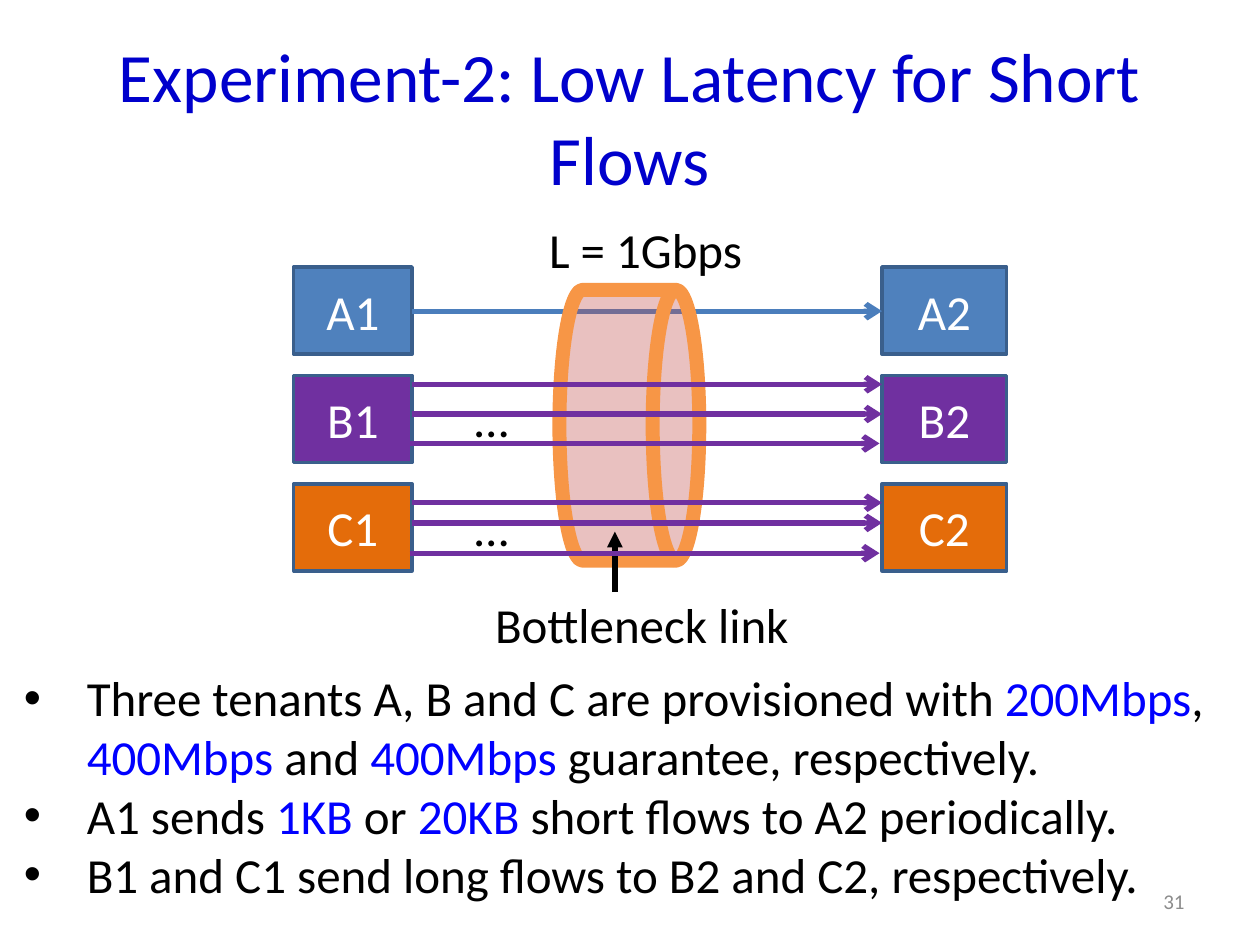
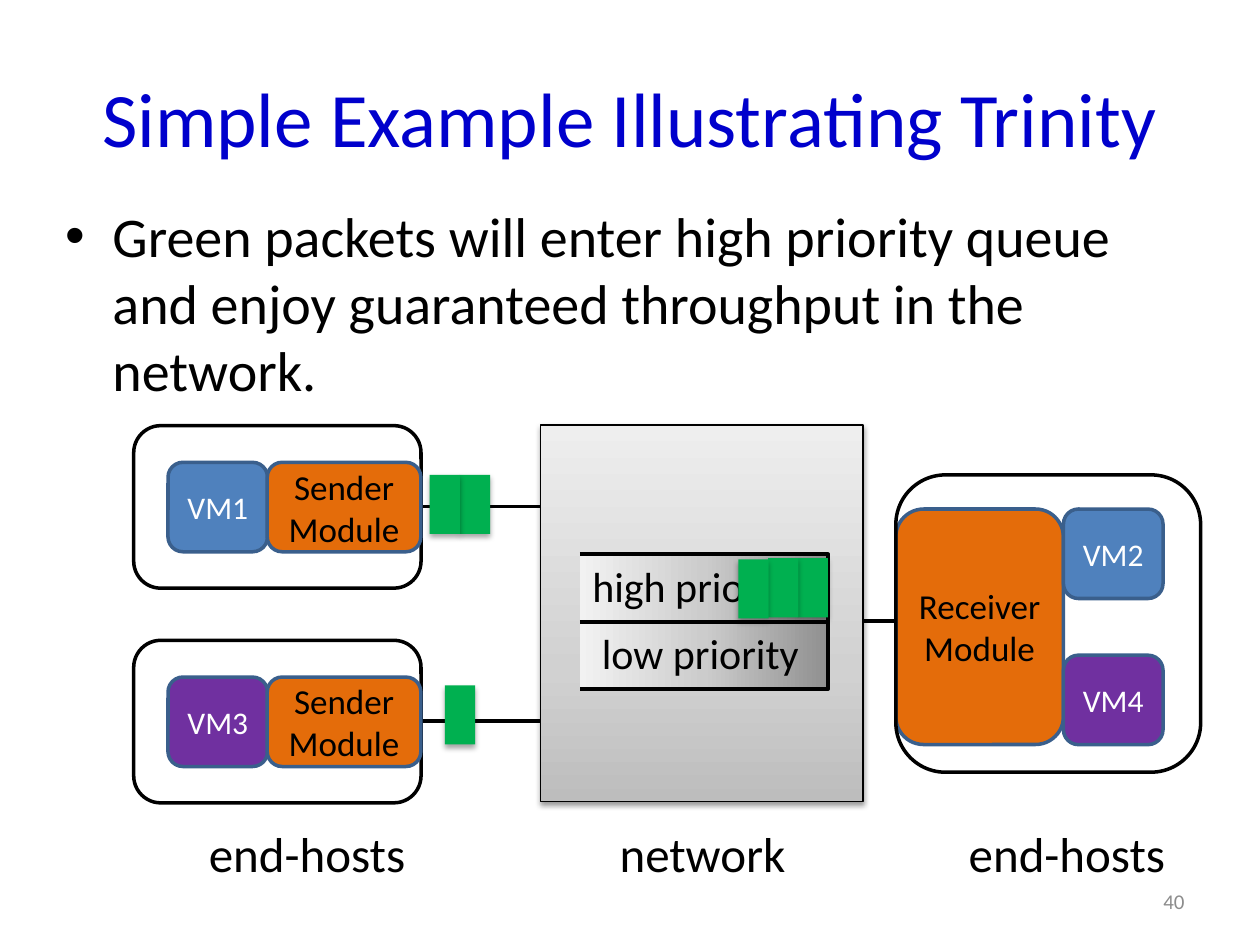
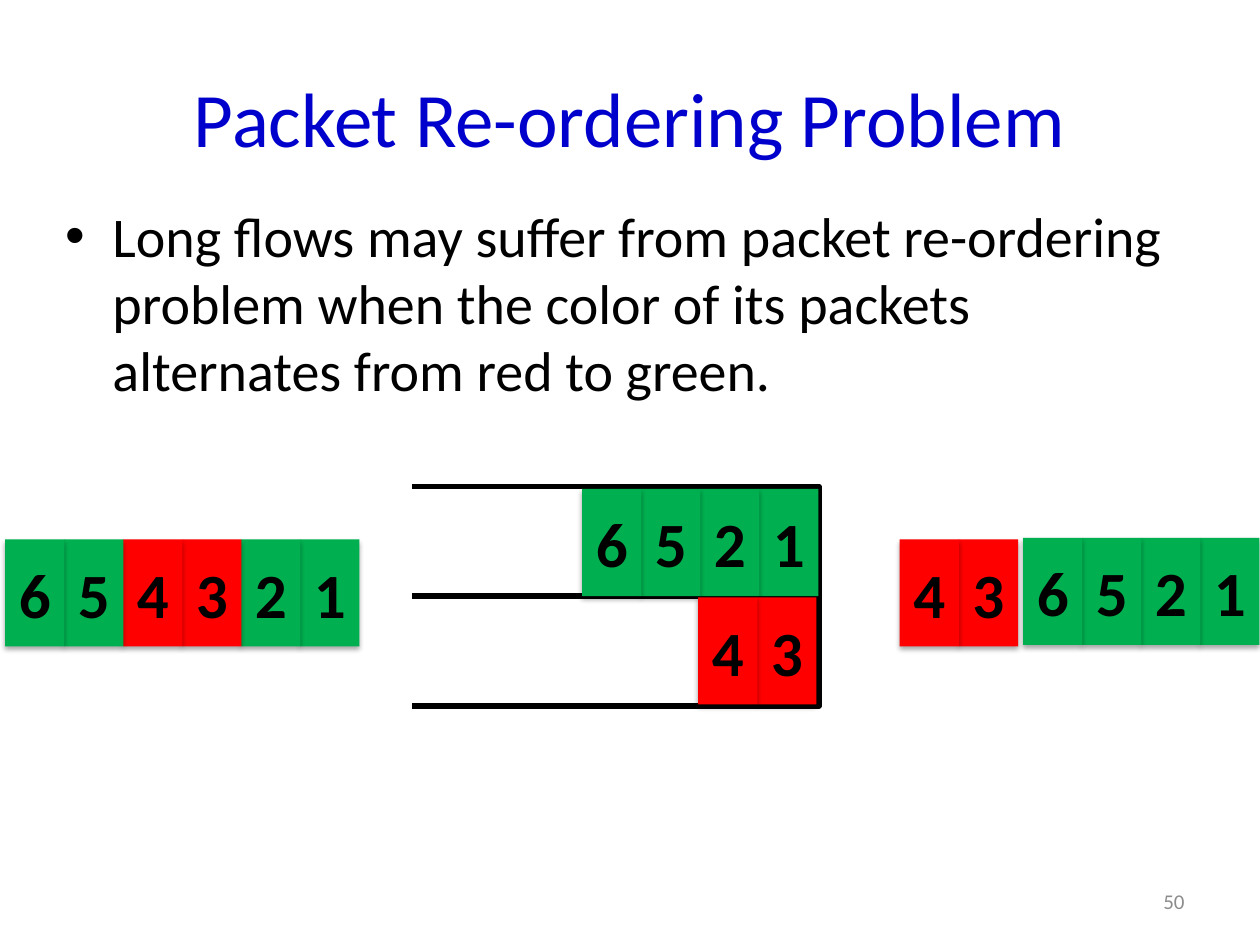
"""Three slides on tenant bandwidth guarantees, priority queues and packet order."""
from copy import deepcopy

from lxml.etree import SubElement
from pptx import Presentation
from pptx.dml.color import RGBColor
from pptx.enum.shapes import MSO_CONNECTOR, MSO_SHAPE
from pptx.enum.text import MSO_ANCHOR, PP_ALIGN
from pptx.oxml.ns import qn
from pptx.util import Pt

FONT = "Calibri"
BLACK, WHITE, GRAY = "000000", "FFFFFF", "8C8C8C"
TITLE_BLUE, KEY_BLUE = "0000CC", "0000FF"
BLUE, PURPLE, ORANGE, EDGE = "4F81BD", "7030A0", "E46C0A", "3A5F8C"
GREEN, RED = "00B050", "FF0000"
NETWORK_STOPS = [(0, "BDBDBD"), (0.35, "D1D1D1"), (1, "EEEEEE")]
QUEUE_STOPS = [(0, "909090"), (0.5, "CCCCCC"), (1, "F2F2F2")]

LATENCY_POINTS = [
    [("Three tenants A, B and C are provisioned with ", BLACK), ("200Mbps", KEY_BLUE),
     (", ", BLACK), ("400Mbps", KEY_BLUE), (" and ", BLACK), ("400Mbps ", KEY_BLUE),
     ("guarantee, respectively.", BLACK)],
    [("A1 sends ", BLACK), ("1KB", KEY_BLUE), (" or ", BLACK), ("20KB", KEY_BLUE),
     (" short flows to A2 periodically.", BLACK)],
    [("B1 and C1 send long flows to B2 and C2, respectively.", BLACK)],
]
TRINITY_POINT = ("Green packets will enter high priority queue and enjoy "
                 "guaranteed throughput in the network.")
REORDER_POINT = ("Long flows may suffer from packet re-ordering problem when the "
                 "color of its packets alternates from red to green.")

TENANT_A = ("A", 152.6, BLUE, "4B7EBC", [(0, 177.8)])
TENANT_B = ("B", 214.6, PURPLE, PURPLE, [(0, 219.6), (0, 236.6), (-1.4, 253.4)])
TENANT_C = ("C", 276.5, ORANGE, PURPLE, [(0, 287.3), (0, 298.8), (-1.4, 316.1)])

SENDERS = [("VM1", BLUE, 243.2), ("VM3", PURPLE, 365.9)]
RECEIVERS = [("VM2", BLUE, 290.9), ("VM4", PURPLE, 374.4)]
PLACES = [("end-hosts", 112.3, 128), ("network", 347, 110), ("end-hosts", 546.5, 128)]
QUEUES = [(" low priority", 355.2), ("high priority", 316.8)]
GREEN_PACKETS = [(262.8, 271.4), (245.5, 271.4), (254.2, 391.7),
                 (455.8, 319), (439, 319), (421.9, 319.7)]

PACKET_STRIPS = [("654321", 2.9, 308.2), ("6521", 332.6, 279.4), ("43", 398.9, 341.3),
                 ("43", 514.1, 308.2), ("6521", 584.6, 307.4)]
PACKET_PITCH, PACKET_WIDTH, PACKET_HEIGHT = 33.7, 34, 61.2


def rgb(color):
    return RGBColor.from_string(color)


def write(frame, paras, size, align=PP_ALIGN.LEFT, anchor=MSO_ANCHOR.TOP,
          wrap=True, bold=False, hang=0):
    frame.word_wrap = wrap
    frame.vertical_anchor = anchor
    for index, spans in enumerate(paras):
        para = frame.add_paragraph() if index else frame.paragraphs[0]
        para.alignment = align
        if hang:
            props = para._p.get_or_add_pPr()
            props.set("marL", str(Pt(hang)))
            props.set("indent", str(-Pt(hang)))
            SubElement(props, qn("a:buFont"), typeface="Arial")
            SubElement(props, qn("a:buChar"), char="•")
        for text, color in spans:
            span = para.add_run()
            span.text = text
            span.font.name = FONT
            span.font.size = Pt(size)
            span.font.bold = bold
            span.font.color.rgb = rgb(color)


def add_text(page, at, paras, size, **style):
    box = page.shapes.add_textbox(*map(Pt, at))
    write(box.text_frame, paras, size, **style)


def add_label(page, at, text):
    add_text(page, at, [[(text, BLACK)]], 28, wrap=False)


def paint(shape, fill=None, line=None, width=2.0):
    shape.shadow.inherit = False
    if fill:
        shape.fill.solid()
        shape.fill.fore_color.rgb = rgb(fill)
    else:
        shape.fill.background()
    if line:
        shape.line.color.rgb = rgb(line)
        shape.line.width = Pt(width)
    else:
        shape.line.fill.background()


def paint_gradient(shape, stops, angle):
    shape.fill.gradient()
    shape.fill.gradient_angle = angle
    stop_list = shape._element.spPr.find(".//" + qn("a:gsLst"))
    stop_list.append(deepcopy(stop_list[0]))
    for stop, (position, color) in zip(shape.fill.gradient_stops, stops):
        stop.position = position
        stop.color.rgb = rgb(color)


def add_shadow(shape, opacity, distance):
    effects = shape._element.spPr.find(qn("a:effectLst"))
    shadow = SubElement(effects, qn("a:outerShdw"), blurRad=str(Pt(3.1)),
                        dist=str(Pt(distance)), dir="5400000", rotWithShape="0")
    color = SubElement(shadow, qn("a:srgbClr"), val=BLACK)
    SubElement(color, qn("a:alpha"), val=str(opacity * 1000))


def add_block(page, kind, at, fill=None, line=None, width=2.0, text="", size=28,
              color=WHITE, bold=False):
    shape = page.shapes.add_shape(kind, *map(Pt, at))
    paint(shape, fill, line, width)
    if text:
        write(shape.text_frame, [[(text, color)]], size, PP_ALIGN.CENTER,
              MSO_ANCHOR.MIDDLE, bold=bold)
    return shape


def add_packet(page, at, fill, digit=""):
    packet = add_block(page, MSO_SHAPE.RECTANGLE, at, fill, text=digit, size=36,
                       color=BLACK, bold=True)
    add_shadow(packet, 35, 1.8)


def add_line(page, start, end, color=BLACK, width=2.0, tail=None):
    line = page.shapes.add_connector(MSO_CONNECTOR.STRAIGHT, *map(Pt, start + end))
    line.line.color.rgb = rgb(color)
    line.line.width = Pt(width)
    if tail:
        SubElement(line.line._get_or_add_ln(), qn("a:tailEnd"), type=tail)
    SubElement(line._element.spPr, qn("a:effectLst"))


def add_queue(page, left, top, width, height, line_width):
    builder = page.shapes.build_freeform(Pt(left), Pt(top))
    right, bottom = left + width, top + height
    corners = [(right, top), (right, bottom), (left, bottom)]
    builder.add_line_segments([(Pt(x), Pt(y)) for x, y in corners], close=False)
    queue = builder.convert_to_shape()
    paint(queue, line=BLACK, width=line_width)
    return queue


def add_page(deck, title, number, title_size=44, point=None):
    page = deck.slides.add_slide(deck.slide_layouts[6])
    add_text(page, (36, 21.6, 648, 90), [[(title, TITLE_BLUE)]], title_size,
             align=PP_ALIGN.CENTER, anchor=MSO_ANCHOR.MIDDLE)
    add_text(page, (516, 500.4, 168, 28.8), [[(number, GRAY)]], 12,
             align=PP_ALIGN.RIGHT, anchor=MSO_ANCHOR.MIDDLE)
    if point:
        add_text(page, (30.2, 111.6, 659.5, 356.4), [[(point, BLACK)]], 32, hang=27)
    return page


def add_tenant(page, tenant):
    name, top, fill, flow_color, flows = tenant
    for suffix, left, width in (("2", 504, 71.3), ("1", 167.8, 67.7)):
        add_block(page, MSO_SHAPE.RECTANGLE, (left, top, width, 49.7), fill, EDGE,
                  text=name + suffix)
    for shift, y in flows:
        add_line(page, (235.4 + shift, y), (504 + shift, y), flow_color, 3, "arrow")
    if len(flows) > 1:
        add_label(page, (264.2, top + 4, 33.8, 41), "…")


def build_latency(deck):
    page = add_page(deck, "Experiment-2: Low Latency for Short Flows", "31", 39.6)
    add_label(page, (306.7, 121.7, 126.7, 41), "L = 1Gbps")
    add_label(page, (275.8, 336.2, 184.3, 41), "Bottleneck link")
    add_tenant(page, TENANT_A)
    drum = add_block(page, MSO_SHAPE.FLOWCHART_DIRECT_ACCESS_STORAGE,
                     (319.7, 165.6, 79.9, 154.8), "C0504D", "F79646", 8)
    color = drum._element.spPr.find(qn("a:solidFill")).find(qn("a:srgbClr"))
    SubElement(color, qn("a:alpha"), val="35000")
    add_tenant(page, TENANT_B)
    add_line(page, (351.4, 338.4), (351.4, 303.8), BLACK, 3, "triangle")
    add_tenant(page, TENANT_C)
    add_text(page, (6.5, 378, 707, 143.3), LATENCY_POINTS, 28, hang=36)


def build_trinity(deck):
    page = add_page(deck, "Simple Example Illustrating Trinity", "40", point=TRINITY_POINT)
    rounded = MSO_SHAPE.ROUNDED_RECTANGLE
    add_line(page, (484.6, 355), (560.9, 355))
    add_block(page, rounded, (511.9, 290.9, 95.8, 134.6), ORANGE, EDGE,
              text="Receiver Module", size=20, color=BLACK)
    for _, _, top in SENDERS:
        add_line(page, (206, top + 46.2), (320.4, top + 46.2))
    network = add_block(page, MSO_SHAPE.RECTANGLE, (308.9, 242.9, 184.3, 215.3),
                        line=BLACK, width=0.75)
    paint_gradient(network, NETWORK_STOPS, 90)
    add_shadow(network, 38, 1.6)
    for text, top in QUEUES:
        queue = add_queue(page, 331.4, top, 141.8, 38.4, 2.25)
        paint_gradient(queue, QUEUE_STOPS, 180)
        write(queue.text_frame, [[(text, BLACK)]], 24)
    for name, fill, top in SENDERS:
        add_block(page, rounded, (76.4, top, 164.2, 92.9), line=BLACK)
        add_block(page, rounded, (96, top + 21, 56.9, 51.1), fill, EDGE, text=name, size=18)
        add_block(page, rounded, (152.7, top + 21, 87.8, 51.1), ORANGE, EDGE,
                  text="Sender Module", size=20, color=BLACK)
    for name, fill, top in RECEIVERS:
        add_block(page, rounded, (607.7, top, 56.9, 51.1), fill, EDGE, text=name, size=18)
    for text, left, width in PLACES:
        add_label(page, (left, 467.3, width, 41), text)
    for left, top in GREEN_PACKETS:
        add_packet(page, (left, top, 17.3, 33.8), GREEN)
    add_block(page, rounded, (511.9, 271.4, 174.2, 169.9), line=BLACK)


def build_reordering(deck):
    page = add_page(deck, "Packet Re-ordering Problem", "50", point=REORDER_POINT)
    for top in (277.9, 340.9):
        add_queue(page, 235.4, top, 232.6, 62.6, 3)
    for digits, left, top in PACKET_STRIPS:
        for index, digit in reversed(list(enumerate(digits))):
            at = (left + index * PACKET_PITCH, top, PACKET_WIDTH, PACKET_HEIGHT)
            add_packet(page, at, RED if digit in "34" else GREEN, digit)


def main():
    deck = Presentation()
    deck.slide_width, deck.slide_height = Pt(720), Pt(540)
    build_latency(deck)
    build_trinity(deck)
    build_reordering(deck)
    deck.save("out.pptx")


if __name__ == "__main__":
    main()
